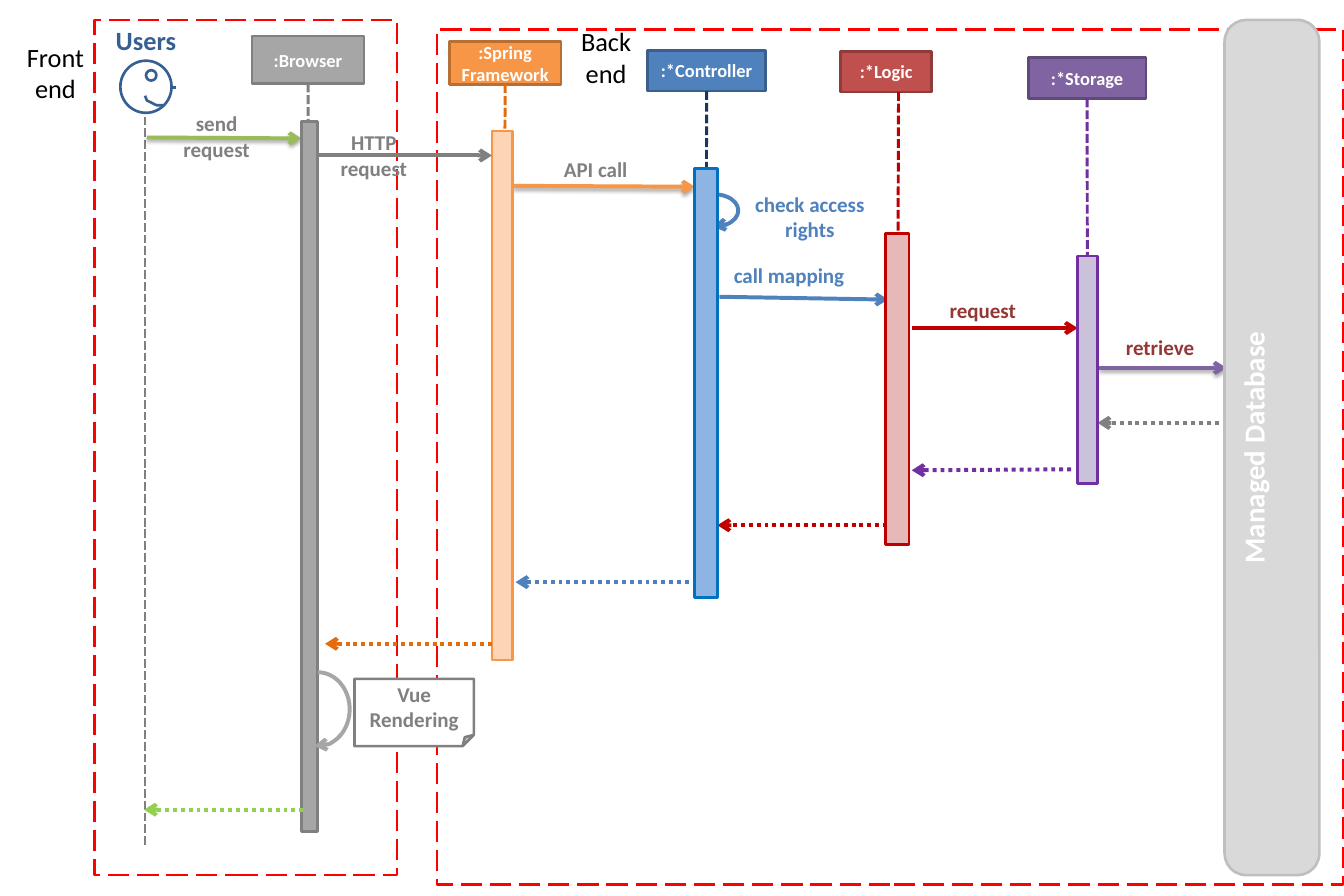
from typing import NamedTuple
from lxml.etree import SubElement
from pptx import Presentation
from pptx.dml.color import RGBColor
from pptx.enum.dml import MSO_LINE
from pptx.enum.shapes import MSO_CONNECTOR, MSO_SHAPE
from pptx.enum.text import MSO_ANCHOR, PP_ALIGN
from pptx.oxml.ns import qn
from pptx.util import Inches, Pt

HUES = {
    "white": "FFFFFF", "black": "000000", "red": "FF0000", "gray": "808080",
    "ash": "A6A6A6", "mist": "D9D9D9", "haze": "BFBFBF", "navy": "376092",
    "green": "9BBB59", "lime": "92D050", "orange": "F79646", "rust": "B76F34",
    "amber": "E46C0A", "peach": "FCD5B5", "blue": "4F81BD", "steel": "3A5F8C",
    "ink": "17375E", "sky": "8EB4E3", "azure": "0070C0", "brick": "C0504D",
    "maroon": "8E3B39", "crimson": "C00000", "rose": "E6B9B8", "wine": "953735",
    "purple": "8064A2", "plum": "5F4A78", "violet": "7030A0", "lilac": "CCC1DA",
}
DOT, DASH, LONG = MSO_LINE.ROUND_DOT, MSO_LINE.SQUARE_DOT, MSO_LINE.LONG_DASH
MID, LEFT = PP_ALIGN.CENTER, PP_ALIGN.LEFT


class Box(NamedTuple):
    """Region of the slide, in one-inch columns and rows."""
    x: float
    y: float
    w: float
    h: float

    def spot(self, x, y):
        """Give the slide position of a point inside the box."""
        return Inches(self.x + x), Inches(self.y + y)


def tint(hue):
    """Turn a colour name into a colour."""
    return RGBColor.from_string(HUES[hue])


def ink(line, hue, width, dash=None):
    """Format an outline or a line."""
    line.color.rgb = tint(hue)
    line.width = Pt(width)
    if dash:
        line.dash_style = dash


def tip(shape):
    """Put an open arrowhead at the end of a line."""
    SubElement(shape._element.spPr.find(qn("a:ln")), qn("a:tailEnd"), type="arrow")


def write(shape, text, size, hue, bold=True, align=MID, anchor=MSO_ANCHOR.TOP):
    """Write one paragraph for each line of text."""
    frame = shape.text_frame
    frame.word_wrap = True
    frame.vertical_anchor = anchor
    look = {"name": "Calibri", "size": Pt(size), "bold": bold}
    for i, words in enumerate(text.split("\n")):
        para = frame.add_paragraph() if i else frame.paragraphs[0]
        para.alignment = align
        run = para.add_run()
        run.text = words
        for key, value in look.items():
            setattr(run.font, key, value)
        run.font.color.rgb = tint(hue)


def form(shapes, box, area, fill, edge, kind=MSO_SHAPE.RECTANGLE, dash=None):
    """Add a filled shape at an area inside the box."""
    x, y, w, h = area
    shape = shapes.add_shape(kind, *box.spot(x, y), Inches(w), Inches(h))
    shape.shadow.inherit = False
    shape.fill.solid()
    shape.fill.fore_color.rgb = tint(fill)
    ink(shape.line, edge, 2, dash)
    return shape


def label(shapes, box, area, text, hue="gray", size=16, bold=True, align=MID):
    """Add a text box at an area inside the box."""
    x, y, w, h = area
    shape = shapes.add_textbox(*box.spot(x, y), Inches(w), Inches(h))
    write(shape, text, size, hue, bold, align)


def stroke(shapes, box, ends, hue, width=3, dash=None, arrow=True, shade=False):
    """Add a straight line between two points inside the box."""
    line = shapes.add_connector(MSO_CONNECTOR.STRAIGHT,
                                *box.spot(*ends[:2]), *box.spot(*ends[2:]))
    ink(line.line, hue, width, dash)
    if arrow:
        tip(line)
    glow = SubElement(line._element.spPr, qn("a:effectLst"))
    if shade:
        drop = SubElement(glow, qn("a:outerShdw"), blurRad=str(Pt(3.1)),
                          dist=str(Pt(1.8)), dir="5400000", rotWithShape="0")
        black = SubElement(drop, qn("a:srgbClr"), val=HUES["black"])
        SubElement(black, qn("a:alpha"), val="35000")
    return line


def loop(shapes, box, area, hue):
    """Add a curved arrow for a call to itself."""
    x, y, w, h = area
    arc = shapes.add_shape(MSO_SHAPE.ARC, *box.spot(x, y), Inches(w), Inches(h))
    arc.shadow.inherit = False
    arc.adjustments[0], arc.adjustments[1] = 162, 57.21
    arc.fill.background()
    ink(arc.line, hue, 3)
    tip(arc)


def actor(shapes, box, name, head, bar, axis, hues):
    """Add a participant: its head, lifeline and activation bar."""
    fill, edge, life, body, rim = hues
    top = form(shapes, box, head, fill, edge)
    write(top, name, 14, "white", anchor=MSO_ANCHOR.MIDDLE)
    line = stroke(shapes, box, (axis, head[1] + head[3], axis, bar[1] + bar[3]),
                  life, 2.25, DASH, False)
    if abs(head[0] + head[2] / 2 - axis) < 0.06:
        line.begin_connect(top, 2)
    line.end_connect(form(shapes, box, bar, body, rim), 2)


def user(shapes, box):
    """Draw the user with a face and a lifeline."""
    label(shapes, box, (0, 0, 1.08, 0.49), "Users", "navy", 20)
    for area in ((0.27, 0.43, 0.54, 0.55), (0.54, 0.53, 0.11, 0.11)):
        form(shapes, box, area, "white", "navy", MSO_SHAPE.FLOWCHART_CONNECTOR)
    stroke(shapes, box, (0.81, 0.71, 0.86, 0.71), "navy", 2, arrow=False)
    curve = [(0.72, 0.9), (0.65, 0.9), (0.59, 0.87), (0.55, 0.85), (0.53, 0.8)]
    pen = shapes.build_freeform(*box.spot(*curve[0]))
    pen.add_line_segments([box.spot(*dot) for dot in curve[1:]], close=False)
    smile = pen.convert_to_shape()
    smile.shadow.inherit = False
    smile.fill.background()
    ink(smile.line, "navy", 2)
    stroke(shapes, box, (0.53, 1.02, 0.53, 8.72), "gray", 2.25, DASH, False)


def front(shapes, box):
    """Draw the front end with the user and the browser."""
    form(shapes, box, (0, 0, box.w, box.h), "white", "red", dash=LONG)
    label(shapes, box, (-0.83, 0.17, 0.83, 0.77), "Front\nend", "black", 20, False)
    user(shapes, box)
    stroke(shapes, box, (0.55, 1.24, 2.18, 1.25), "green", shade=True)
    stroke(shapes, box, (2.26, 1.43, 4.19, 1.43), "gray")
    stroke(shapes, box, (4.19, 6.58, 2.43, 6.58), "amber", dash=DOT)
    actor(shapes, box, ":Browser", (1.66, 0.17, 1.18, 0.5), (2.18, 1.07, 0.17, 7.49),
          2.26, ("ash", "gray", "gray", "ash", "gray"))
    stroke(shapes, box, (2.2, 8.33, 0.52, 8.33), "lime", dash=DOT)
    loop(shapes, box, (2.02, 6.88, 0.67, 0.78), "ash")
    note = form(shapes, box, (2.74, 6.95, 1.26, 0.71), "white", "gray",
                MSO_SHAPE.FOLDED_CORNER)
    write(note, "Vue Rendering", 16, "gray", anchor=MSO_ANCHOR.MIDDLE)
    label(shapes, box, (0.81, 0.91, 0.95, 0.64), "send\nrequest")
    label(shapes, box, (2.48, 1.11, 0.93, 0.64), "HTTP\nrequest")


def back(shapes, box):
    """Draw the back end with its four participants."""
    form(shapes, box, (0, 0, box.w, box.h), "white", "red", dash=LONG)
    label(shapes, box, (1.37, -0.09, 0.83, 0.77), "Back\nend", "black", 20, False)
    for ends, hue, shade in (
            ((0.81, 1.65, 2.72, 1.66), "orange", True),
            ((2.98, 2.82, 4.76, 2.85), "blue", False),
            ((5.01, 3.15, 6.76, 3.15), "crimson", False),
            ((6.99, 3.57, 8.33, 3.57), "purple", True)):
        stroke(shapes, box, ends, hue, shade=shade)
    for ends, hue in (
            ((8.33, 4.15, 6.97, 4.15), "gray"),
            ((6.69, 4.64, 5.01, 4.65), "violet"),
            ((4.75, 5.23, 2.96, 5.23), "crimson"),
            ((2.66, 5.83, 0.83, 5.83), "blue")):
        stroke(shapes, box, ends, hue, dash=DOT)
    loop(shapes, box, (2.68, 1.74, 0.5, 0.34), "blue")
    for part in (
            (":Spring\nFramework", (0.13, 0.13, 1.18, 0.45), (0.58, 1.07, 0.22, 5.58),
             0.71, ("orange", "rust", "amber", "peach", "orange")),
            (":*Controller", (2.22, 0.22, 1.25, 0.43), (2.72, 1.47, 0.24, 4.52),
             2.85, ("blue", "steel", "ink", "sky", "azure")),
            (":*Logic", (4.26, 0.23, 0.96, 0.43), (4.73, 2.15, 0.25, 3.28),
             4.87, ("brick", "maroon", "crimson", "rose", "crimson")),
            (":*Storage", (6.24, 0.3, 1.24, 0.43), (6.76, 2.39, 0.21, 2.4),
             6.91, ("purple", "plum", "violet", "lilac", "violet"))):
        actor(shapes, box, *part)
    for area, text, hue, align in (
            ((1.24, 1.29, 0.99, 0.37), "API call", "gray", LEFT),
            ((3.25, 1.66, 1.37, 0.64), "check access rights", "blue", MID),
            ((2.99, 2.41, 1.45, 0.37), "call mapping", "blue", MID),
            ((5.31, 2.78, 1.22, 0.37), "request", "wine", LEFT),
            ((7.17, 3.17, 1.22, 0.37), "retrieve", "wine", LEFT)):
        label(shapes, box, area, text, hue, align=align)


def store(shapes, box):
    """Draw the database as a tall rounded bar."""
    bar = form(shapes, box, (0, 0, box.w, box.h), "mist", "haze",
               MSO_SHAPE.ROUNDED_RECTANGLE)
    bar.adjustments[0] = 0.23
    write(bar, "Managed Database", 22, "white")
    bar.text_frame._txBody.bodyPr.set("vert", "vert270")


def main():
    """Build the sequence diagram and save it."""
    deck = Presentation()
    deck.slide_width, deck.slide_height = Inches(14.18), Inches(9.45)
    shapes = deck.slides.add_slide(deck.slide_layouts[6]).shapes
    back(shapes, Box(4.61, 0.31, 9.56, 9.02))
    front(shapes, Box(1, 0.21, 3.19, 9.02))
    store(shapes, Box(12.92, 0.21, 1, 9.02))
    deck.save("out.pptx")


if __name__ == "__main__":
    main()
